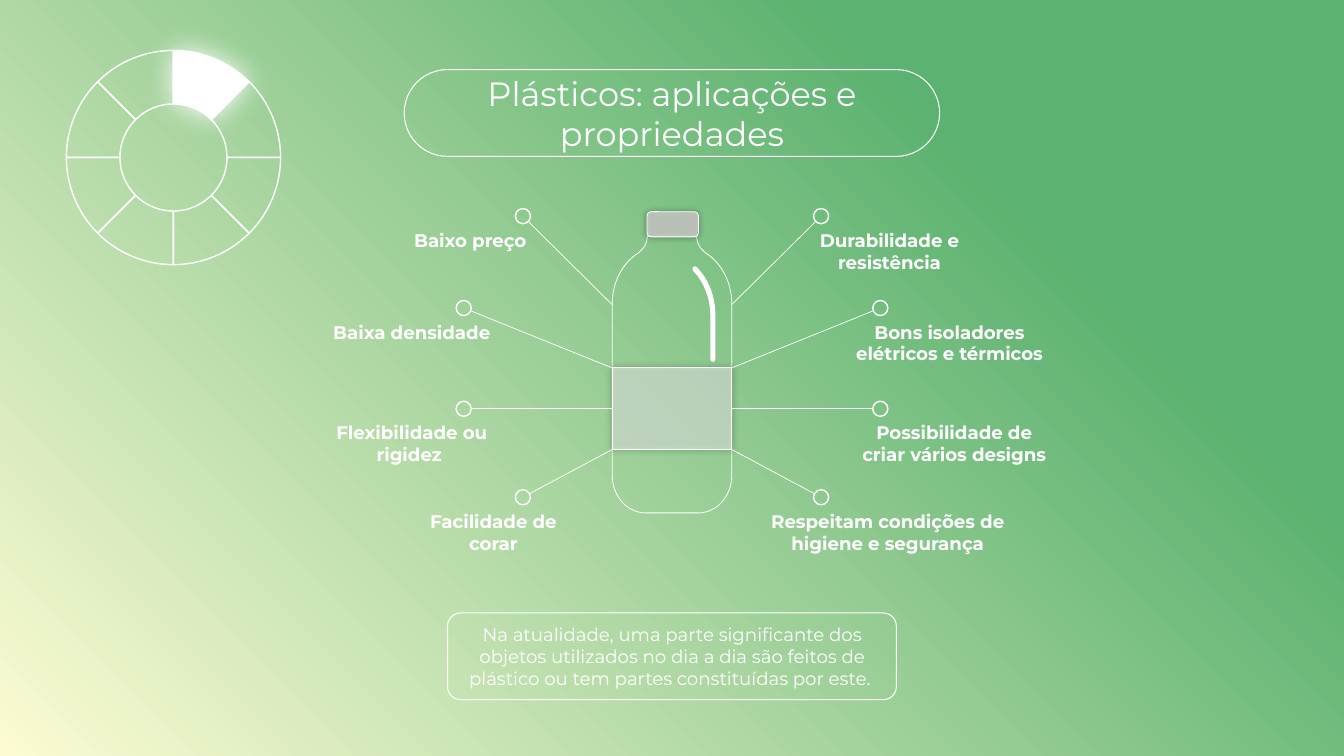
from math import cos, hypot, radians, sin, tan

from lxml.etree import SubElement
from pptx import Presentation
from pptx.dml.color import RGBColor
from pptx.enum.shapes import MSO_CONNECTOR, MSO_SHAPE
from pptx.enum.text import MSO_ANCHOR, MSO_AUTO_SIZE, PP_ALIGN
from pptx.oxml.ns import qn
from pptx.util import Pt

GREEN = RGBColor(0x5C, 0xB2, 0x70)
CREAM = RGBColor(0xFC, 0xFB, 0xD4)
WHITE = RGBColor(0xFF, 0xFF, 0xFF)
BLACK = RGBColor(0x00, 0x00, 0x00)
GREY = RGBColor(0xD0, 0xCE, 0xCE)
FONT = "Montserrat"

# Outlines from the bottle's centre line and cap top: corners and cubic curves
HALF_BOTTLE = [
    [(17.7, 17.5)], [(17.7, 18.7)],
    [(17.7, 23), (20.5, 26.6), (24, 29.5)],
    [(35.4, 36.7), (42.7, 50.4), (42.7, 66.2)],
    [(42.7, 188.6)],
    [(42.7, 203), (32, 215.2), (19, 215.2)],
]
SHINE = [
    [(29.2, 107.3)],
    [(28.3, 107.3), (27.4, 106.6), (27.4, 105.1)],
    [(27.4, 74.2)],
    [(27.4, 61.9), (22.5, 49.7), (15.3, 42.5)],
    [(14.4, 41.8), (14.4, 41), (14.6, 40.3)],
    [(15.3, 38.7), (16.8, 38.7), (17.6, 39.5)],
    [(26.1, 48.2), (31, 60.5), (31, 74.2)],
    [(31, 105.1)],
    [(31, 106.6), (30.1, 107.3), (29.2, 107.3)],
]

# Per row: dot distance from centre, dot height, height on the bottle
ROWS = [(106.5, 154.4, 217.6), (148.8, 220, 262.8), (148.8, 292, 292), (106.5, 355.2, 321.1)]
# Per label: centre offset, width, text
LEFT_LABELS = [
    (-144.1, 127.4, "Baixo preço"),
    (-185.9, 127.4, "Baixa densidade"),
    (-185.9, 127.4, "Flexibilidade ou rigidez "),
    (-127.6, 127.4, "Facilidade de corar"),
]
RIGHT_LABELS = [
    (155.4, 127.4, "Durabilidade e resistência"),
    (198.2, 151.2, "Bons isoladores elétricos e térmicos"),
    (201.5, 157.7, "Possibilidade de criar vários designs"),
    (154, 180.7, "Respeitam condições de higiene e segurança"),
]


def style(shape, weight, color=None, opacity=100):
    """Give a shape a white line and an optional fill."""
    shape.shadow.inherit = False
    if color is None:
        shape.fill.background()
    else:
        shape.fill.solid()
        shape.fill.fore_color.rgb = color
        if opacity < 100:
            fill = shape.element.spPr.find(qn("a:solidFill"))
            SubElement(fill[0], qn("a:alpha"), val=str(opacity * 1000))
    if weight is None:
        shape.line.fill.background()
    else:
        shape.line.color.rgb = WHITE
        shape.line.width = Pt(weight)
    return shape


def add_glow(shape, color, opacity, blur):
    effects = shape.element.spPr.find(qn("a:effectLst"))
    shadow = SubElement(effects, qn("a:outerShdw"), blurRad=str(Pt(blur)), dist="0",
                        algn="ctr", rotWithShape="0")
    tint = SubElement(shadow, qn("a:srgbClr"), val=str(color))
    SubElement(tint, qn("a:alpha"), val=str(opacity * 1000))


def add_preset(page, kind, box):
    return page.shapes.add_shape(kind, *map(Pt, box))


def add_outline(page, origin, segments):
    """Draw a closed outline; a segment of three points is a cubic curve."""
    segments = [[(Pt(origin[0] + x), Pt(origin[1] + y)) for x, y in segment]
                for segment in segments]
    builder = page.shapes.build_freeform(*segments[0][0])
    builder.add_line_segments([segment[-1] for segment in segments[1:]], close=True)
    shape = builder.convert_to_shape()
    edges = list(shape.element.iter(qn("a:lnTo")))
    for edge, segment in zip(edges, segments[1:]):
        if len(segment) == 3:
            edge.tag = qn("a:cubicBezTo")
            edge.remove(edge[0])
            for x, y in segment:
                SubElement(edge, qn("a:pt"), x=str(x - shape.left), y=str(y - shape.top))
    return shape


def mirror(segments):
    """Run the segments backwards on the other side of the centre line."""
    backwards = [[segments[-1][-1]]]
    for before, segment in reversed(list(zip(segments, segments[1:]))):
        backwards.append([*reversed(segment[:-1]), before[-1]])
    return [[(-x, y) for x, y in segment] for segment in backwards]


def write(shape, text, size, bold=False):
    frame = shape.text_frame
    frame.word_wrap = True
    para = frame.paragraphs[0]
    para.alignment = PP_ALIGN.CENTER
    span = para.add_run()
    span.text = text
    span.font.name, span.font.size, span.font.bold = FONT, Pt(size), bold
    span.font.color.rgb = WHITE


def paint_background(page):
    fill = page.background.fill
    fill.gradient()
    for stop, color, position in zip(fill.gradient_stops, (GREEN, CREAM), (0.25, 1)):
        stop.color.rgb, stop.position = color, position
    gradient = next(page.element.iter(qn("a:gradFill")))
    gradient.remove(gradient.find(qn("a:lin")))
    shade = SubElement(gradient, qn("a:path"), path="circle")
    SubElement(shade, qn("a:fillToRect"), l="100000", b="100000")
    SubElement(gradient, qn("a:tileRect"), t="-100000", r="-100000")


def add_title(page, box, text):
    pill = style(add_preset(page, MSO_SHAPE.ROUNDED_RECTANGLE, box), 0.75)
    pill.adjustments[0] = 0.5
    title = page.shapes.title
    title.left, title.top, title.width, title.height = map(Pt, box)
    write(title, text, 24)
    title.text_frame.auto_size = MSO_AUTO_SIZE.NONE
    title.text_frame.vertical_anchor = MSO_ANCHOR.MIDDLE


def add_note(page, box, text):
    note = style(add_preset(page, MSO_SHAPE.ROUNDED_RECTANGLE, box), 0)
    note.adjustments[0] = 0.15
    write(note, text, 13)


def arc(radius, start, end):
    """Start point and cubic curve of an arc, clockwise from the top."""
    reach = 4 / 3 * tan(radians(end - start) / 4)

    def spot(angle, lean):
        turn = radians(angle)
        return (radius * (sin(turn) + lean * cos(turn)), radius * (lean * sin(turn) - cos(turn)))

    return [[spot(start, 0)], [spot(start, reach), spot(end, -reach), spot(end, 0)]]


def add_wheel(page, box, sectors=8):
    left, top, width, height = box
    radius, sweep = width / 2, 360 / sectors
    # The first sector comes last, lit up above the others
    for index in reversed(range(sectors)):
        start, end = index * sweep, (index + 1) * sweep
        ring = arc(radius, start, end) + arc(radius / 2, end, start)
        sector = add_outline(page, (left + radius, top + height / 2), ring)
        style(sector, 1, None if index else WHITE)
    add_glow(sector, WHITE, 100, 20)


def add_bottle(page, box):
    left, top, width, height = box
    centre = left + width / 2
    style(add_outline(page, (centre, top), HALF_BOTTLE + mirror(HALF_BOTTLE)), 0.56)
    cap = add_preset(page, MSO_SHAPE.ROUNDED_RECTANGLE, (centre - 17.8, top, 36.7, 18))
    add_glow(style(cap, 0.56, GREY, 80), BLACK, 40, 5)
    label = add_preset(page, MSO_SHAPE.RECTANGLE, (left, top + 111.6, width, 58.4))
    add_glow(style(label, 0.56, WHITE, 50), BLACK, 40, 5)
    style(add_outline(page, (centre, top), SHINE), None, WHITE)


def add_callouts(page, box, labels, side):
    """Place dots, lines and labels on one side (-1 left, 1 right) of the bottle box."""
    left, top, width, height = box
    centre, radius = left + width / 2, 5.4
    edge = centre + side * width / 2
    for (reach, dot_y, edge_y), (offset, label_width, text) in zip(ROWS, labels):
        dot_x = centre + side * reach
        style(add_preset(page, MSO_SHAPE.OVAL,
                         (dot_x - radius, dot_y - radius, 2 * radius, 2 * radius)), 1)
        share = radius / hypot(edge - dot_x, edge_y - dot_y)
        start = (dot_x + share * (edge - dot_x), dot_y + share * (edge_y - dot_y))
        line = page.shapes.add_connector(MSO_CONNECTOR.STRAIGHT,
                                         *map(Pt, (*start, edge, edge_y)))
        line.line.color.rgb, line.line.width = WHITE, Pt(0.5)
        SubElement(line.element.spPr, qn("a:effectLst"))
        label_height = 38.9 if len(text) > 15 else 23
        label_box = (centre + offset - label_width / 2, dot_y + 5.7, label_width, label_height)
        write(page.shapes.add_textbox(*map(Pt, label_box)), text, 13, bold=True)


def main():
    deck = Presentation()
    deck.slide_width, deck.slide_height = Pt(960), Pt(540)
    page = deck.slides.add_slide(deck.slide_layouts[5])
    paint_background(page)
    add_title(page, (288.7, 49.7, 382.5, 62), "Plásticos: aplicações e propriedades")
    bottle = (437.3, 151.2, 85.4, 215.2)
    add_bottle(page, bottle)
    add_note(page, (319.7, 437.8, 320.6, 62),
             "Na atualidade, uma parte significante dos objetos utilizados no dia a dia "
             "são feitos de plástico ou tem partes constituídas por este. ")
    add_callouts(page, bottle, LEFT_LABELS, -1)
    add_callouts(page, bottle, RIGHT_LABELS, 1)
    add_wheel(page, (47.4, 36, 153, 153))
    deck.save("out.pptx")


if __name__ == "__main__":
    main()
